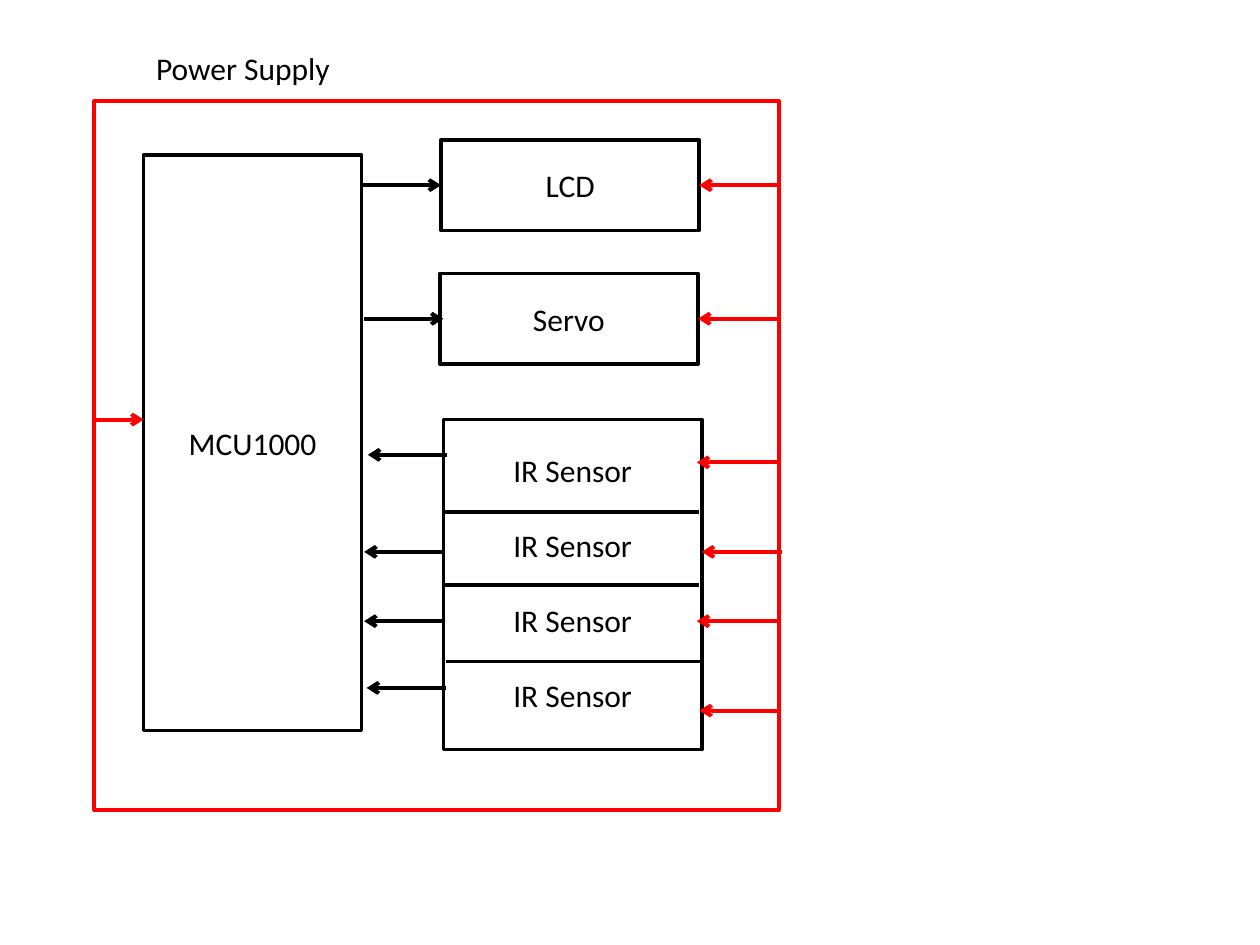
from pptx import Presentation
from pptx.dml.color import RGBColor
from pptx.enum.shapes import MSO_CONNECTOR as Connector, MSO_SHAPE as Shape
from pptx.enum.text import MSO_ANCHOR as Anchor, MSO_AUTO_SIZE as AutoSize, PP_ALIGN as Align
from pptx.oxml.ns import qn
from pptx.util import Inches, Pt
from lxml import etree

BLACK = RGBColor(0, 0, 0)
RED = RGBColor(255, 0, 0)
LEFT, RIGHT = 1, 3


def write(frame, *lines, font="Calibri", size=18, color=BLACK, align=Align.LEFT, gap=0):
    for index, text in enumerate(lines):
        para = frame.add_paragraph() if index else frame.paragraphs[0]
        para.alignment = align
        para.space_after = Pt(gap)
        span = para.add_run()
        span.text = text
        span.font.name = font
        span.font.size = Pt(size)
        span.font.color.rgb = color


class Diagram:
    """Draws blocks, labels and lines in one style on the current page."""

    def __init__(self, page, line_width=2.25):
        self.page = page
        self.line_width = line_width

    def block(self, left, top, width, height, *lines, color=BLACK, weight=2, gap=0):
        box = self.page.shapes.add_shape(
            Shape.RECTANGLE, Inches(left), Inches(top), Inches(width), Inches(height))
        box.shadow.inherit = False
        box.fill.background()
        box.line.color.rgb = color
        box.line.width = Pt(weight)
        box.text_frame.vertical_anchor = Anchor.MIDDLE
        write(box.text_frame, *lines, align=Align.CENTER, gap=gap)
        return box

    def label(self, left, top, width, height, text):
        box = self.page.shapes.add_textbox(
            Inches(left), Inches(top), Inches(width), Inches(height))
        box.text_frame.word_wrap = False
        box.text_frame.auto_size = AutoSize.SHAPE_TO_FIT_TEXT
        write(box.text_frame, text)

    def line(self, start, end, y, color=BLACK, arrow=False, begin=None, finish=None):
        connector = self.page.shapes.add_connector(
            Connector.STRAIGHT, Inches(start), Inches(y), Inches(end), Inches(y))
        connector.line.color.rgb = color
        connector.line.width = Pt(self.line_width)
        if arrow:
            etree.SubElement(connector.line._get_or_add_ln(), qn("a:tailEnd"), type="arrow")
        etree.SubElement(connector._element.spPr, qn("a:effectLst"))
        if begin:
            connector.begin_connect(*begin)
        if finish:
            connector.end_connect(*finish)


def main():
    deck = Presentation()
    deck.slide_width, deck.slide_height = Inches(10), Inches(7.5)
    diagram = Diagram(deck.slides.add_slide(deck.slide_layouts[6]))

    diagram.block(1.14, 1.23, 1.73, 4.57, "MCU1000")
    lcd = diagram.block(3.5, 1.11, 2.05, 0.72, "LCD")
    servo = diagram.block(3.49, 2.17, 2.05, 0.72, "Servo")
    sensors = diagram.block(3.52, 3.33, 2.05, 2.62, *["IR Sensor"] * 4, gap=21.25)
    sensors.text_frame.vertical_anchor = Anchor.TOP
    sensors.text_frame.margin_top = Inches(0.25)

    diagram.line(3.52, 5.55, 4.06)
    diagram.line(3.52, 5.55, 4.64, begin=(sensors, LEFT))
    diagram.line(3.54, 5.57, 5.25)

    diagram.block(0.75, 0.8, 5.43, 5.63, color=RED, weight=2.25)
    diagram.label(1.14, 0.34, 1.65, 0.4, "Power Supply")

    signals = [
        (2.87, 3.5, 1.47, (lcd, LEFT)),
        (2.89, 3.52, 2.53, None),
        (3.55, 2.92, 3.61, None),
        (3.52, 2.89, 4.38, None),
        (3.52, 2.89, 4.93, None),
        (3.54, 2.91, 5.46, None),
    ]
    supplies = [
        (0.75, 1.14, 3.33, None),
        (6.18, 5.55, 1.47, (lcd, RIGHT)),
        (6.18, 5.54, 2.53, (servo, RIGHT)),
        (6.18, 5.53, 3.67, None),
        (6.21, 5.57, 4.38, None),
        (6.18, 5.53, 4.93, None),
        (6.2, 5.55, 5.64, None),
    ]
    for color, arrows in ((BLACK, signals), (RED, supplies)):
        for start, end, y, target in arrows:
            diagram.line(start, end, y, color=color, arrow=True, finish=target)

    deck.save("out.pptx")


if __name__ == "__main__":
    main()
